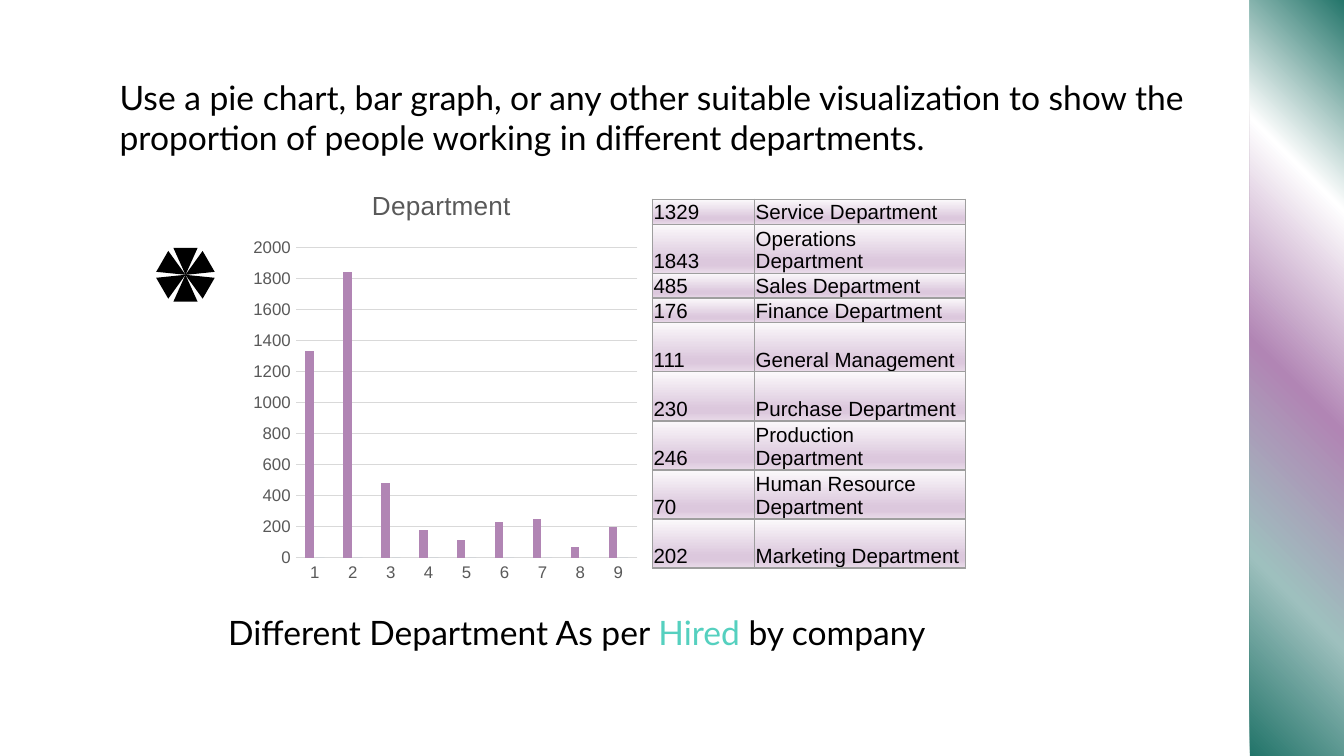
from collections import namedtuple
from math import cos, radians, sin

from lxml import etree
from pptx import Presentation
from pptx.chart.data import CategoryChartData
from pptx.dml.color import RGBColor
from pptx.enum.chart import XL_CHART_TYPE, XL_TICK_MARK
from pptx.enum.shapes import MSO_SHAPE
from pptx.enum.text import MSO_ANCHOR, MSO_AUTO_SIZE, PP_ALIGN
from pptx.oxml import parse_xml
from pptx.oxml.ns import nsdecls, qn
from pptx.util import Inches, Pt

# The page is a grid of square units, 100 columns wide
PAGE_WIDTH, PAGE_HEIGHT = Inches(10), Inches(10 * 9 / 16)
UNIT = PAGE_WIDTH / 100
Box = namedtuple("Box", "left top width height")

BLACK, GRAY, RULE, BORDER = "000000", "595959", "D9D9D9", "9E9E9E"
PURPLE, BLUE, AQUA = "B185B4", "A6C1D8", "55D0BF"
BAND_STOPS = [(0, "207368"), (24, "9EC0BE"), (49, PURPLE), (75, "FFFFFF"), (100, "207368")]
CELL_STOPS = [(0, "FBF9FB"), (74, "DCC8DD"), (83, "DCC8DD"), (100, "E8DAE8")]

DEPARTMENTS = [
    (1329, "Service Department"),
    (1843, "Operations Department"),
    (485, "Sales Department"),
    (176, "Finance Department"),
    (111, "General Management"),
    (230, "Purchase Department"),
    (246, "Production Department"),
    (70, "Human Resource Department"),
    (202, "Marketing Department"),
]
SHORT_ROWS = {0, 2, 3}


def color(value):
    return RGBColor.from_string(value)


def units(count):
    return round(count * UNIT)


def place(box):
    return [units(length) for length in box]


def style_font(font, size, name, value):
    font.size, font.name, font.bold = Pt(size), name, False
    font.color.rgb = color(value)


def gradient(stops, angle):
    marks = "".join(
        f'<a:gs pos="{share * 1000}"><a:srgbClr val="{value}"/></a:gs>' for share, value in stops
    )
    return parse_xml(
        f'<a:gradFill {nsdecls("a")} rotWithShape="1"><a:gsLst>{marks}</a:gsLst>'
        f'<a:lin ang="{angle * 60000}" scaled="0"/></a:gradFill>'
    )


def add_shape(page, kind, box):
    shape = page.shapes.add_shape(kind, *place(box))
    shape.shadow.inherit = False
    shape.line.fill.background()
    return shape


def add_band(page, box):
    band = add_shape(page, MSO_SHAPE.RECTANGLE, box)
    band.rotation = 180
    properties = band._element.spPr
    properties.find(qn("a:xfrm")).set("flipH", "1")
    properties.find(qn("a:prstGeom")).addnext(gradient(BAND_STOPS, 45))


def write_text(shape, box, spans, line_spacing=1.0):
    shape.left, shape.top, shape.width, shape.height = place(box)
    frame = shape.text_frame
    frame.word_wrap, frame.auto_size = True, MSO_AUTO_SIZE.NONE
    frame.vertical_anchor = MSO_ANCHOR.TOP
    frame.margin_left = frame.margin_right = frame.margin_top = frame.margin_bottom = units(1)
    para = frame.paragraphs[0]
    para.alignment = PP_ALIGN.LEFT
    para.line_spacing = line_spacing
    for text, value in spans:
        span = para.add_run()
        span.text = text
        style_font(span.font, 18, "Lato", value)


def add_rosette(page, box):
    """Six triangles whose tips meet in the middle of the box."""
    width, height = 1.8, 2
    center_x, center_y = box.left + box.width / 2, box.top + box.height / 2
    for angle in range(0, 360, 60):
        left = center_x - sin(radians(angle)) * height / 2 - width / 2
        top = center_y + cos(radians(angle)) * height / 2 - height / 2
        petal = add_shape(page, MSO_SHAPE.ISOSCELES_TRIANGLE, Box(left, top, width, height))
        petal.rotation = angle
        petal.fill.solid()
        petal.fill.fore_color.rgb = color(BLACK)


def set_layout(parent, index, box, **lengths):
    """Fix a chart part inside the chart's box, with lengths in grid units."""
    for old in parent.findall(qn("c:layout")):
        parent.remove(old)
    layout = etree.Element(qn("c:layout"))
    manual = etree.SubElement(layout, qn("c:manualLayout"))
    if "w" in lengths:
        etree.SubElement(manual, qn("c:layoutTarget")).set("val", "inner")
    for mode in ("xMode", "yMode"):
        etree.SubElement(manual, qn(f"c:{mode}")).set("val", "edge")
    for key, length in lengths.items():
        whole = box.width if key in "xw" else box.height
        etree.SubElement(manual, qn(f"c:{key}")).set("val", str(length / whole))
    parent.insert(index, layout)


def add_department_chart(page, box):
    data = CategoryChartData()
    data.categories = [str(number + 1) for number in range(len(DEPARTMENTS))]
    data.add_series("Series 1", [round(count, -1) for count, _ in DEPARTMENTS])
    data.add_series("Series 2", [0] * len(DEPARTMENTS))
    chart = page.shapes.add_chart(XL_CHART_TYPE.COLUMN_CLUSTERED, *place(box), data).chart
    style_font(chart.font, 10, "Arial", BLACK)
    chart.has_legend = False

    # Title and plot area
    chart.has_title = True
    span = chart.chart_title.text_frame.paragraphs[0].add_run()
    span.text = "Department"
    style_font(span.font, 14, "Arial", GRAY)
    set_layout(chart.chart_title._element, 1, box, x=9.02, y=1.05)
    set_layout(chart._chartSpace.chart.plotArea, 0, box, x=3.73, y=5.82, w=25.4, h=23.08)

    # Columns
    plot = chart.plots[0]
    plot.gap_width, plot.overlap, plot.vary_by_categories = 219, -27, False
    for series, value in zip(plot.series, (PURPLE, BLUE)):
        series.format.fill.solid()
        series.format.fill.fore_color.rgb = color(value)

    # Axes
    for axis in (chart.category_axis, chart.value_axis):
        axis.major_tick_mark = axis.minor_tick_mark = XL_TICK_MARK.NONE
        style_font(axis.tick_labels.font, 9, "Arial", GRAY)
    counts = chart.value_axis
    counts.minimum_scale, counts.maximum_scale, counts.major_unit = 0, 2000, 200
    counts.format.line.fill.background()
    for line in (chart.category_axis.format.line, counts.major_gridlines.format.line):
        line.color.rgb, line.width = color(RULE), Pt(0.75)


def format_cell(cell, text):
    cell.margin_left = cell.margin_right = cell.margin_top = units(0.1)
    cell.margin_bottom = 0
    cell.vertical_anchor = MSO_ANCHOR.BOTTOM
    span = cell.text_frame.paragraphs[0].add_run()
    span.text = text
    style_font(span.font, 11, "Arial", BLACK)
    properties = cell._tc.get_or_add_tcPr()
    for side in ("lnL", "lnR", "lnT", "lnB"):
        properties.append(parse_xml(
            f'<a:{side} {nsdecls("a")} w="{Pt(0.75)}"><a:solidFill>'
            f'<a:srgbClr val="{BORDER}"/></a:solidFill></a:{side}>'
        ))
    properties.append(gradient(CELL_STOPS, 90))


def add_department_table(page, box):
    table = page.shapes.add_table(len(DEPARTMENTS), 2, *place(box)).table
    table.first_row = table.horz_banding = False
    count_width = 7.6
    for column, width in zip(table.columns, (count_width, box.width - count_width)):
        column.width = units(width)
    for index, (count, name) in enumerate(DEPARTMENTS):
        table.rows[index].height = units(1.85 if index in SHORT_ROWS else 3.65)
        format_cell(table.cell(index, 0), str(count))
        format_cell(table.cell(index, 1), name)


def build_department_page(deck):
    page = deck.slides.add_slide(deck.slide_layouts[5])
    add_band(page, Box(93, -0.3, 7, 56.8))
    write_text(page.shapes.title, Box(7.9, 4.9, 84.4, 7.7), [(
        "Use a pie chart, bar graph, or any other suitable visualization to show the "
        "proportion of people working in different departments.", BLACK)], 0.98)
    add_rosette(page, Box(11.6, 18.4, 4.4, 4.1))
    add_department_chart(page, Box(18.3, 12.6, 29.8, 31.4))
    add_department_table(page, Box(48.53, 14.83, 23.3, 27.45))
    caption = page.shapes.add_textbox(0, 0, 0, 0)
    write_text(caption, Box(16, 44.5, 84.4, 7.7), [
        ("Different Department As per ", BLACK), ("Hired ", AQUA), ("by company", BLACK)])


def main():
    deck = Presentation()
    deck.slide_width, deck.slide_height = PAGE_WIDTH, PAGE_HEIGHT
    build_department_page(deck)
    deck.save("out.pptx")


if __name__ == "__main__":
    main()
